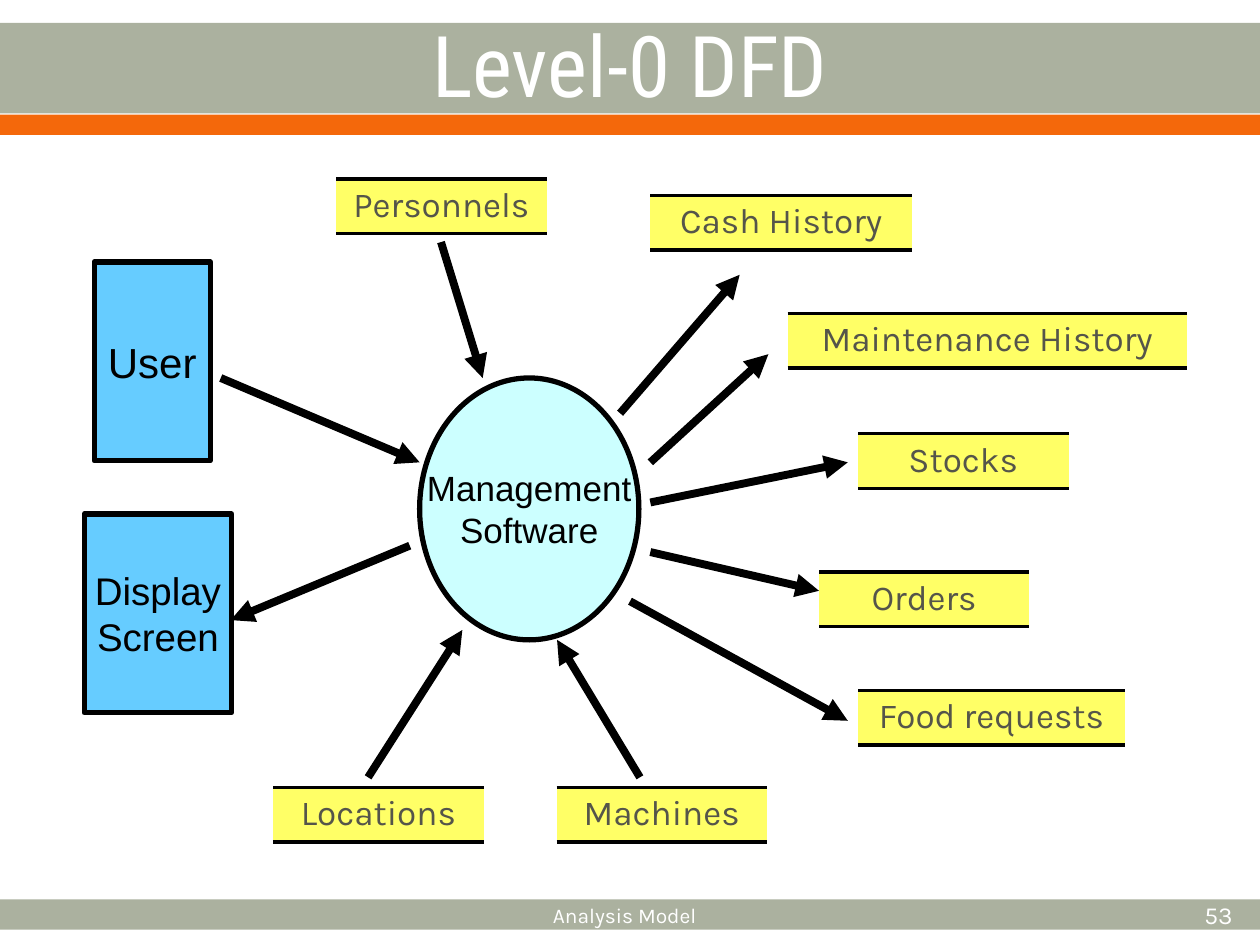
from lxml import etree
from pptx import Presentation
from pptx.dml.color import RGBColor
from pptx.enum import shapes, text
from pptx.oxml.ns import qn
from pptx.util import Cm, Pt

SAGE = RGBColor(0xAB, 0xB1, 0x9F)
ORANGE = RGBColor(0xF4, 0x68, 0x0B)
AQUA = RGBColor(0xCC, 0xFF, 0xFF)
BLUE = RGBColor(0x66, 0xCC, 0xFF)
YELLOW = RGBColor(0xFF, 0xFF, 0x66)
GREY = RGBColor(0x55, 0x55, 0x4A)
BLACK = RGBColor(0, 0, 0)
WHITE = RGBColor(255, 255, 255)

WIDE, HIGH = 25.4, 19.05
STORE_H = 1.09
RECT = shapes.MSO_SHAPE.RECTANGLE
OVAL = shapes.MSO_SHAPE.OVAL
MID = text.MSO_ANCHOR.MIDDLE
CENTER, RIGHT = text.PP_ALIGN.CENTER, text.PP_ALIGN.RIGHT

# name, left, top, width; all diagram places are within its box
STORES = [
    ("Personnels", 6.78, 0.91, 4.24),
    ("Locations", 5.51, 13.17, 4.24),
    ("Cash History", 13.11, 1.24, 5.28),
    ("Machines", 11.22, 13.17, 4.24),
    ("Orders", 16.51, 8.83, 4.24),
    ("Maintenance History", 15.88, 3.62, 8.05),
    ("Stocks", 17.3, 6.04, 4.24),
    ("Food requests", 17.3, 11.22, 5.38),
]
# lines, kind, fill, text size, box
NODES = [
    (["Management", "Software"], OVAL, AQUA, 20, (8.46, 4.92, 4.42, 5.28)),
    (["User"], RECT, BLUE, 24, (1.9, 2.58, 2.34, 4.01)),
    (["Display", "Screen"], RECT, BLUE, 22, (1.7, 7.66, 2.97, 4.01)),
]
# start x, y, end x, y
FLOWS = [
    (8.89, 2.18, 9.73, 4.92),      # Personnels
    (4.45, 4.92, 8.46, 6.62),      # User
    (7.42, 12.97, 9.32, 10),       # Locations
    (12.9, 12.97, 11.23, 10.2),    # Machines
    (13.11, 8.43, 16.51, 9.21),    # Orders
    (12.5, 5.63, 14.91, 2.84),     # Cash History
    (13.11, 6.62, 15.49, 4.44),    # Maintenance History
    (8.26, 8.3, 4.65, 9.8),        # Display Screen
    (13.11, 7.43, 17.09, 6.62),    # Stocks
    (12.7, 9.42, 17.09, 11.83),    # Food requests
]


def write(frame, lines, face, size, color, align=CENTER):
    look = {"name": face, "size": Pt(size)}
    for i, line in enumerate(lines):
        para = frame.paragraphs[0] if i == 0 else frame.add_paragraph()
        para.alignment = align
        run = para.add_run()
        run.text = line
        for key, val in look.items():
            setattr(run.font, key, val)
        run.font.color.rgb = color


def add_form(slide, kind, box, fill, edge=None):
    form = slide.shapes.add_shape(kind, *map(Cm, box))
    form.shadow.inherit = False
    form.fill.solid()
    form.fill.fore_color.rgb = fill
    if edge:
        form.line.color.rgb = BLACK
        form.line.width = Pt(edge)
    else:
        form.line.fill.background()
    return form


def add_label(slide, box, words, face, size, align=CENTER):
    frame = slide.shapes.add_textbox(*map(Cm, box)).text_frame
    for key, val in {"word_wrap": True, "vertical_anchor": MID}.items():
        setattr(frame, key, val)
    write(frame, [words], face, size, WHITE, align)


def add_node(slide, lines, kind, fill, size, box):
    frame = add_form(slide, kind, box, fill, 3).text_frame
    for key, val in {"word_wrap": False, "vertical_anchor": MID}.items():
        setattr(frame, key, val)
    write(frame, lines, "Arial", size, BLACK)


def add_store(slide, name, box):
    """A data store: one cell, ruled above and below only."""
    table = slide.shapes.add_table(1, 1, *map(Cm, box)).table
    table.first_row = table.horz_banding = False
    cell = table.cell(0, 0)
    write(cell.text_frame, [name], "Karla", 20, GREY)
    props = cell._tc.get_or_add_tcPr()
    for side in ("lnL", "lnR", "lnT", "lnB"):
        rule = etree.SubElement(props, qn("a:" + side), w=str(Pt(2.25)))
        if side in ("lnL", "lnR"):
            etree.SubElement(rule, qn("a:noFill"))
        else:
            paint = etree.SubElement(rule, qn("a:solidFill"))
            etree.SubElement(paint, qn("a:srgbClr"), val=str(BLACK))
    cell.fill.solid()
    cell.fill.fore_color.rgb = YELLOW


def add_flow(slide, ends):
    flow = slide.shapes.add_connector(
        shapes.MSO_CONNECTOR.STRAIGHT, *map(Cm, ends))
    flow.line.color.rgb = BLACK
    flow.line.width = Pt(4.5)
    etree.SubElement(flow.line._get_or_add_ln(), qn("a:tailEnd"),
                     type="triangle")
    etree.SubElement(flow._element.spPr, qn("a:effectLst"))


def banner(slide, box, title):
    x, y, w, h = box
    add_form(slide, RECT, (x, y, w, 1.83), SAGE)
    add_form(slide, RECT, (x, y + h - 0.41, w, 0.41), ORANGE)
    add_label(slide, (x, y + 0.03, w, 1.57), title, "Roboto Condensed", 48.6)


def diagram(slide, box):
    x, y = box[:2]
    for lines, kind, fill, size, (dx, dy, w, h) in NODES:
        add_node(slide, lines, kind, fill, size, (x + dx, y + dy, w, h))
    for name, dx, dy, w in STORES:
        add_store(slide, name, (x + dx, y + dy, w, STORE_H))
    for x1, y1, x2, y2 in FLOWS:
        add_flow(slide, (x + x1, y + y1, x + x2, y + y2))


def footer(slide, box, topic, number):
    x, y, w, h = box
    add_form(slide, RECT, box, SAGE)
    top, tall = y - 0.2, h + 0.41
    add_label(slide, (x + 5.89, top, 13.41, tall), topic, "Karla", 12)
    add_label(slide, (x + w - 4.7, top, 4.4, tall), number, "Karla", 14, RIGHT)


def main():
    deck = Presentation()
    deck.slide_width, deck.slide_height = Cm(WIDE), Cm(HIGH)
    slide = deck.slides.add_slide(deck.slide_layouts[6])
    banner(slide, (0, 0.46, WIDE, 2.26), "Level-0 DFD")
    diagram(slide, (0, 2.7, WIDE, 15.4))
    footer(slide, (0, 18.13, WIDE, 0.61), "Analysis Model", "53")
    deck.save("out.pptx")


if __name__ == "__main__":
    main()
